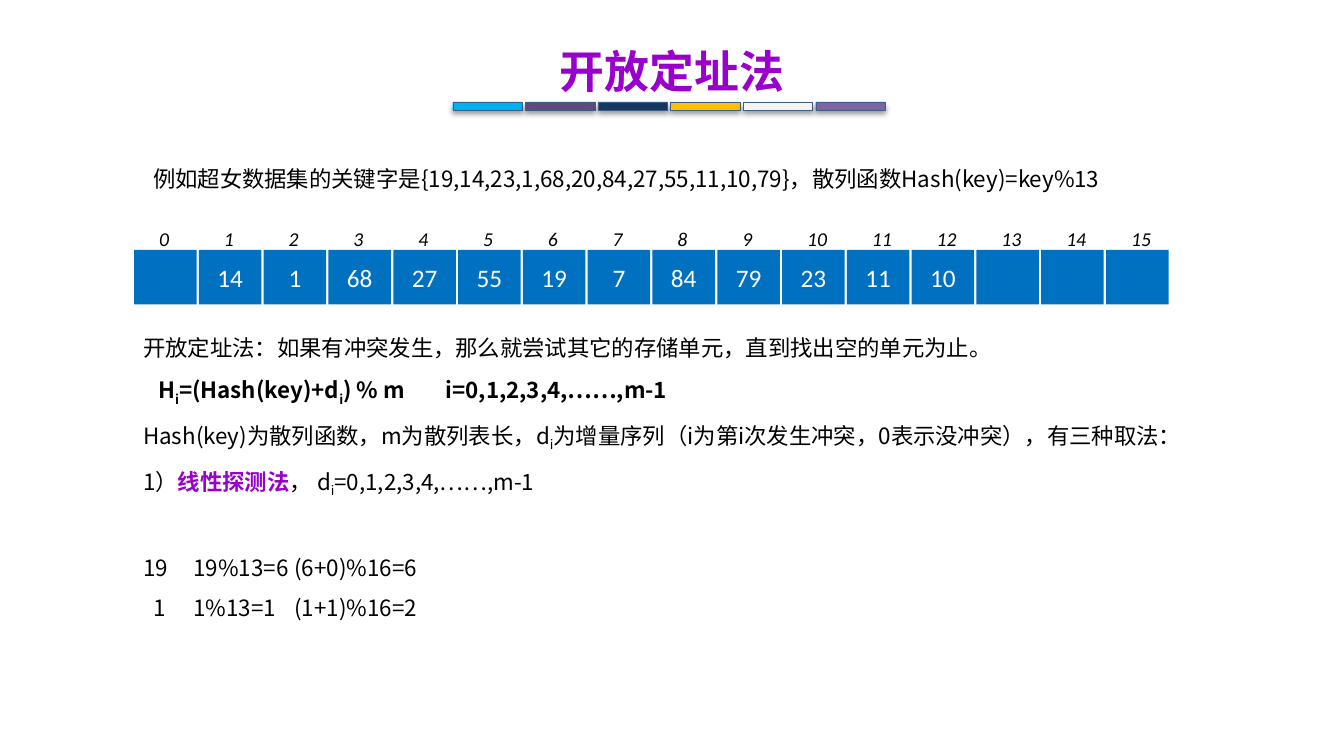
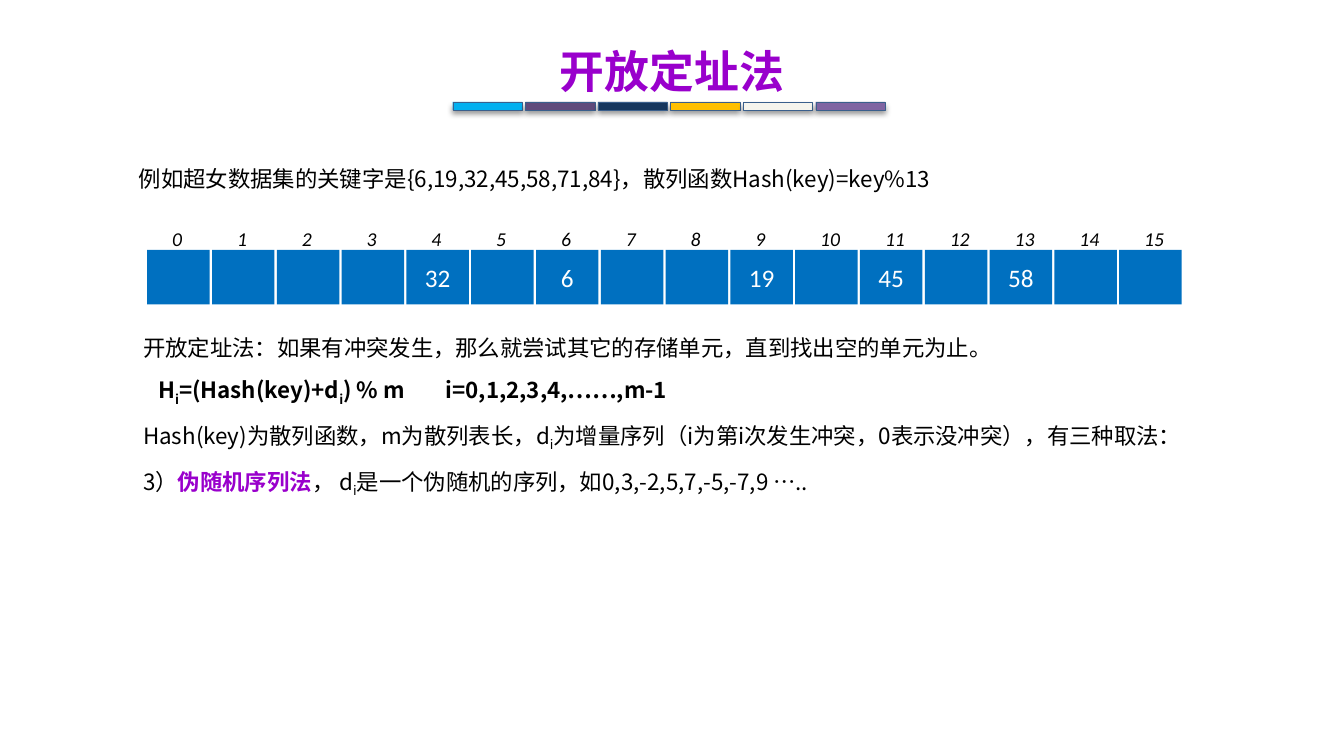
from dataclasses import dataclass
from typing import Any, NamedTuple, Optional

import pptx
import pptx.dml.color
import pptx.enum.shapes
import pptx.enum.text
import pptx.oxml
import pptx.oxml.ns
import pptx.util
from pptx.util import Inches

RGB = pptx.dml.color.RGBColor
ALIGN = pptx.enum.text.PP_ALIGN
ANCHOR = pptx.enum.text.MSO_ANCHOR
FIT = pptx.enum.text.MSO_AUTO_SIZE
RECT = pptx.enum.shapes.MSO_SHAPE.RECTANGLE


@dataclass(frozen=True)
class Theme:
    sans: str = "Noto Sans CJK SC"
    latin: str = "Calibri"
    ink: str = "000000"
    accent: str = "9900CC"
    cell: str = "0070C0"
    white: str = "FFFFFF"
    edge: str = "3A5F8C"
    bars: tuple[str, ...] = ("00B0F0", "604A7B", "17375E", "FFC000", "F5F4ED", "8064A2")
    title: int = 32
    body: int = 16
    value: int = 18
    index: int = 14


THEME = Theme()


class Box(NamedTuple):
    left: float
    top: float
    width: float
    height: float

    def emu(self) -> tuple[int, ...]:
        return tuple(Inches(n) for n in self)


class Run(NamedTuple):
    text: str
    sub: bool = False
    mark: bool = False


class Line(NamedTuple):
    runs: tuple[Run, ...]
    bold: Optional[bool] = None
    indent: float = 0
    tabs: tuple[float, ...] = ()
    before: int = 0


class Page(NamedTuple):
    intro: str
    left: float
    start: float
    cells: dict[int, int]
    lines: tuple[Line, ...]
    height: float


SUB = Run("i", sub=True)
TITLE = "开放定址法"
SLOTS = 16
STEP = 9.64 / (SLOTS - 1)
COMMON = (
    Line((Run("开放定址法：如果有冲突发生，那么就尝试其它的存储单元，直到找出空的单元为止。"),)),
    Line((Run("H"), SUB, Run("=(Hash(key)+d"), SUB, Run(") % m\ti=0,1,2,3,4,……,m-1")),
         bold=True, indent=0.15, tabs=(2.99,)),
    Line((Run("Hash(key)为散列函数，m为散列表长，d"), SUB,
          Run("为增量序列（i为第i次发生冲突，0表示没冲突），有三种取法："))),
)


def method(mark: str, name: str, steps: str) -> Line:
    return Line((Run(mark), Run(name, mark=True), Run("， d"), SUB, Run(steps)))


PAGES = (
    Page("例如超女数据集的关键字是{19,14,23,1,68,20,84,27,55,11,10,79}，散列函数Hash(key)=key%13",
         1.42, 1.33,
         {1: 14, 2: 1, 3: 68, 4: 27, 5: 55, 6: 19, 7: 7, 8: 84, 9: 79, 10: 23, 11: 11, 12: 10},
         COMMON + (
             method("1）", "线性探测法", "=0,1,2,3,4,……,m-1"),
             Line((Run("19\t19%13=6\t(6+0)%16=6"),), tabs=(0.49, 1.73), before=30),
             Line((Run("1\t1%13=1\t(1+1)%16=2"),), indent=0.1, tabs=(0.47, 1.68)),
         ), 3.33),
    Page("例如超女数据集的关键字是{6,19,32,45,58,71,84}，散列函数Hash(key)=key%13",
         1.28, 1.46, {4: 32, 6: 6, 9: 19, 11: 45, 13: 58},
         COMMON + (method("3）", "伪随机序列法", "是一个伪随机的序列，如0,3,-2,5,7,-5,-7,9 ….."),),
         1.72),
)


def node(root: Any, tag: str, **attrs: Any) -> Any:
    """Append a DrawingML element to root."""
    item = pptx.oxml.parse_xml(f"<a:{tag} {pptx.oxml.ns.nsdecls('a')}/>")
    for key, value in attrs.items():
        item.set(key, str(value))
    root.append(item)
    return item


def style(para: Any, size: int, color: str, face: str) -> None:
    font = para.font
    font.size = pptx.util.Pt(size)
    font.color.rgb = RGB.from_string(color)
    font.name = face
    node(para._p.get_or_add_pPr().get_or_add_defRPr(), "ea", typeface=face)


def place(shape: Any, box: Box) -> Any:
    """Move a placeholder and return its text frame, set to grow."""
    shape.left, shape.top, shape.width, shape.height = box.emu()
    return flow(shape)


def flow(shape: Any, wrap: bool = True) -> Any:
    frame = shape.text_frame
    frame.word_wrap = wrap
    frame.auto_size = FIT.SHAPE_TO_FIT_TEXT
    frame.vertical_anchor = ANCHOR.TOP
    return frame


def rect(slide: Any, box: Box, color: str) -> Any:
    shape = slide.shapes.add_shape(RECT, *box.emu())
    shape.shadow.inherit = False
    shape.fill.solid()
    shape.fill.fore_color.rgb = RGB.from_string(color)
    shape.line.fill.background()
    return shape


def head(slide: Any) -> None:
    """Set the title and the row of coloured bars under it."""
    para = place(slide.shapes.title, Box(0, 0.12, 13.33, 0.91)).paragraphs[0]
    para.text = TITLE
    para.alignment = ALIGN.CENTER
    para.line_spacing = 1.5
    style(para, THEME.title, THEME.accent, THEME.sans)
    para.font.bold = True
    for k, color in enumerate(THEME.bars):
        bar = rect(slide, Box(4.49 + 0.72 * k, 1.01, 0.69, 0.08), color)
        bar.line.color.rgb = RGB.from_string(THEME.edge)
        bar.line.width = pptx.util.Pt(0.25)
        effect = bar._element.spPr.find(pptx.oxml.ns.qn("a:effectLst"))
        shade = node(effect, "outerShdw", blurRad=pptx.util.Pt(4), dist=pptx.util.Pt(3),
                     dir=5400000, rotWithShape=0)
        node(node(shade, "srgbClr", val=THEME.ink), "alpha", val=40000)


def intro(slide: Any, page: Page) -> None:
    box = slide.shapes.add_textbox(*Box(page.left, 1.46, 10.26, 0.5).emu())
    para = flow(box).paragraphs[0]
    para.text = page.intro
    para.line_spacing = 1.5
    style(para, THEME.body, THEME.ink, THEME.sans)


def table(slide: Any, page: Page) -> None:
    """Draw the hash slots with their index above."""
    for k in range(SLOTS):
        left = page.start + STEP * k
        cell = rect(slide, Box(left, 2.48, 0.62, 0.54), THEME.cell)
        if k in page.cells:
            cell.text_frame.vertical_anchor = ANCHOR.MIDDLE
            para = cell.text_frame.paragraphs[0]
            para.text = str(page.cells[k])
            para.alignment = ALIGN.CENTER
            style(para, THEME.value, THEME.white, THEME.latin)
        wide = 0.3 if k < 10 else 0.4
        label = slide.shapes.add_textbox(*Box(left + 0.15, 2.2, wide, 0.34).emu())
        para = flow(label, wrap=False).paragraphs[0]
        para.text = str(k)
        style(para, THEME.index, THEME.ink, THEME.latin)
        para.font.italic = True


def write(para: Any, line: Line) -> None:
    para.line_spacing = 1.5
    para.space_before = pptx.util.Pt(line.before)
    props = para._p.get_or_add_pPr()
    props.set("marL", "0")
    props.set("indent", str(Inches(line.indent)))
    node(props, "buNone")
    if line.tabs:
        stops = node(props, "tabLst")
        for tab in line.tabs:
            node(stops, "tab", pos=Inches(tab), algn="l")
    style(para, THEME.body, THEME.ink, THEME.sans)
    para.font.bold = line.bold
    for part in line.runs:
        run = para.add_run()
        run.text = part.text
        if part.sub:
            run._r.get_or_add_rPr().set("baseline", "-25000")
        if part.mark:
            run.font.bold = True
            run.font.color.rgb = RGB.from_string(THEME.accent)


def body(slide: Any, page: Page) -> None:
    frame = place(slide.placeholders[1], Box(1.32, 3.13, 10.71, page.height))
    for k, line in enumerate(page.lines):
        write(frame.add_paragraph() if k else frame.paragraphs[0], line)


def main() -> None:
    deck = pptx.Presentation()
    deck.slide_width, deck.slide_height = Inches(13.33), Inches(7.5)
    for page in PAGES:
        slide = deck.slides.add_slide(deck.slide_layouts[1])
        head(slide)
        intro(slide, page)
        table(slide, page)
        body(slide, page)
    deck.save("out.pptx")


if __name__ == "__main__":
    main()
